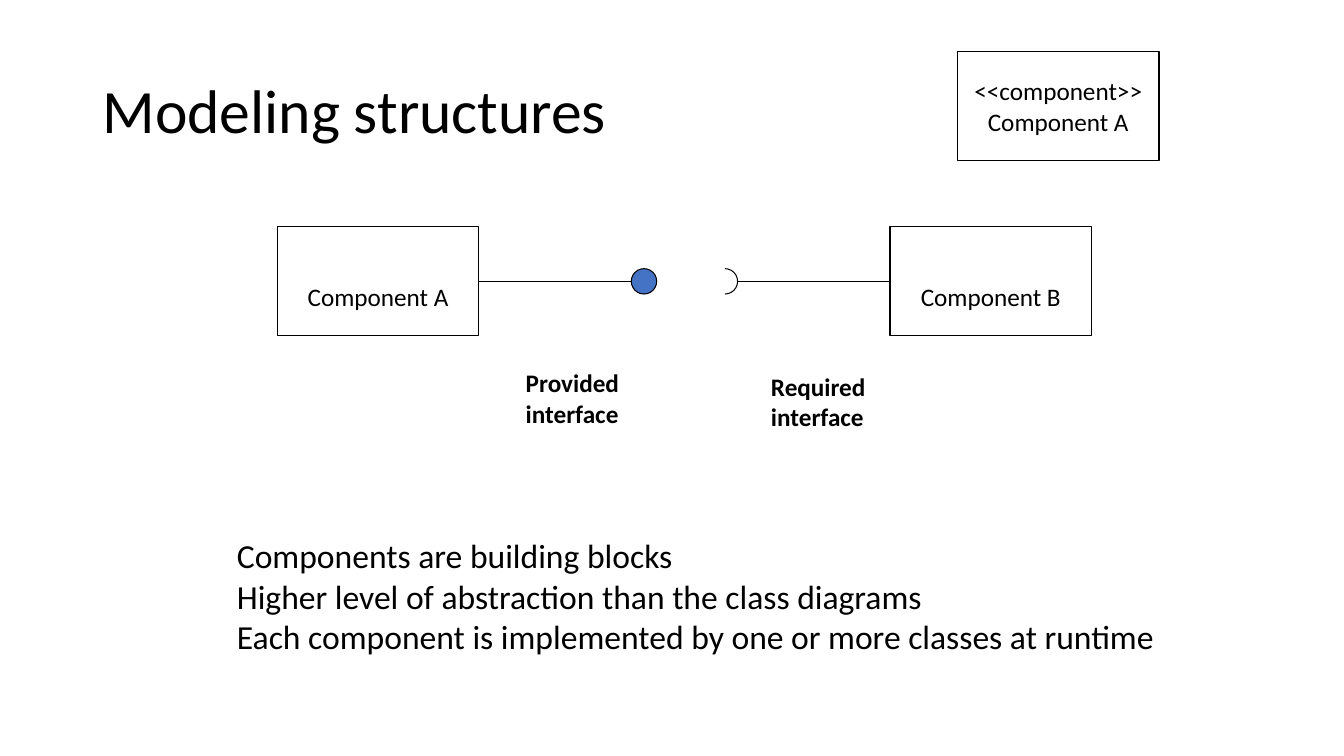
from lxml import etree
from pptx import Presentation
from pptx import util as u
from pptx.dml.color import RGBColor
from pptx.enum import shapes, text
from pptx.oxml.ns import qn

BLACK, WHITE, BLUE = "000000", "FFFFFF", "4472C4"
BOX_WIDTH, BOX_HEIGHT = 5.08, 2.74
LEAD, BALL = 3.84, 0.64
LINE_HEIGHT = 0.76  # one line of 18 pt text


def colour(value):
    return RGBColor.from_string(value)


def write_lines(frame, lines, size, bold=False, **paragraph_format):
    """Put one paragraph per line into a text frame."""
    font_format = {"name": "Calibri", "size": u.Pt(size), "bold": bold}
    for index, line in enumerate(lines):
        paragraph = frame.paragraphs[0] if index == 0 else frame.add_paragraph()
        paragraph.text = line
        for name, value in paragraph_format.items():
            setattr(paragraph, name, value)
        for name, value in font_format.items():
            setattr(paragraph.font, name, value)
        paragraph.font.color.rgb = colour(BLACK)


def add_outlined(slide, kind, left, top, width, height, fill=None):
    """Preset shape with a thin black outline and an optional fill."""
    shape = slide.shapes.add_shape(kind, u.Cm(left), u.Cm(top), u.Cm(width), u.Cm(height))
    shape.shadow.inherit = False
    if fill:
        shape.fill.solid()
        shape.fill.fore_color.rgb = colour(fill)
    else:
        shape.fill.background()
    shape.line.color.rgb = colour(BLACK)
    shape.line.width = u.Pt(0.75)
    return shape


def add_component(slide, left, top, lines, drop=0):
    """Component box; drop lowers the text by reserving room at the top."""
    shape = add_outlined(slide, shapes.MSO_SHAPE.RECTANGLE, left, top, BOX_WIDTH, BOX_HEIGHT, WHITE)
    frame = shape.text_frame
    frame.word_wrap = True
    frame.vertical_anchor = text.MSO_ANCHOR.MIDDLE
    frame.margin_top = u.Cm(0.13 + drop)
    write_lines(frame, lines, 18, alignment=text.PP_ALIGN.CENTER)


def add_lead(slide, start, end, y):
    lead = slide.shapes.add_connector(
        shapes.MSO_CONNECTOR.STRAIGHT, u.Cm(start), u.Cm(y), u.Cm(end), u.Cm(y))
    lead.line.color.rgb = colour(BLACK)
    lead.line.width = u.Pt(0.75)
    etree.SubElement(lead._element.spPr, qn("a:effectLst"))


def add_provider(slide, left, top, name):
    """Component with a ball on its right side."""
    right, middle = left + BOX_WIDTH, top + BOX_HEIGHT / 2
    add_component(slide, left, top, [name], LINE_HEIGHT)
    add_lead(slide, right, right + LEAD, middle)
    add_outlined(slide, shapes.MSO_SHAPE.OVAL, right + LEAD, middle - BALL / 2, BALL, BALL, BLUE)


def add_requirer(slide, left, top, name):
    """Component with a socket on its left side."""
    middle = top + BOX_HEIGHT / 2
    add_component(slide, left, top, [name], LINE_HEIGHT)
    add_lead(slide, left, left - LEAD, middle)
    socket = add_outlined(
        slide, shapes.MSO_SHAPE.ARC, left - LEAD - BALL, middle - BALL / 2, BALL, BALL)
    # Right half of the circle: 270 to 90 degrees, 0.6 units per degree
    socket.adjustments[0] = 270 * 0.6
    socket.adjustments[1] = 90 * 0.6


def add_text(slide, left, top, width, height, lines, size, bold=False):
    box = slide.shapes.add_textbox(u.Cm(left), u.Cm(top), u.Cm(width), u.Cm(height))
    box.text_frame.word_wrap = True
    write_lines(box.text_frame, lines, size, bold)


def add_title(slide, left, top, width, height, line):
    title = slide.shapes.title
    bounds = {"left": left, "top": top, "width": width, "height": height}
    for name, value in bounds.items():
        setattr(title, name, u.Cm(value))
    title.text_frame.auto_size = text.MSO_AUTO_SIZE.NONE
    title.text_frame.vertical_anchor = text.MSO_ANCHOR.MIDDLE
    write_lines(title.text_frame, [line], 44, alignment=text.PP_ALIGN.LEFT, line_spacing=0.9)


def build_structure_slide(presentation):
    slide = presentation.slides.add_slide(presentation.slide_layouts[5])
    # Title and notation example
    add_title(slide, 2.33, 1.01, 29.21, 3.68, "Modeling structures")
    add_component(slide, 24.13, 1.3, ["<<component>>", "Component A"])
    # Components and their interfaces
    add_provider(slide, 6.99, 5.72, "Component A")
    add_requirer(slide, 22.43, 5.72, "Component B")
    add_text(slide, 13, 9.14, 3.05, 1.78, ["Provided", "interface"], 18, bold=True)
    add_text(slide, 19.18, 9.23, 3.05, 1.78, ["Required", "interface"], 18, bold=True)
    # Explanation
    add_text(slide, 5.72, 13.36, 23.85, 3.33, [
        "Components are building blocks",
        "Higher level of abstraction than the class diagrams",
        "Each component is implemented by one or more classes at runtime",
    ], 24)


def main():
    presentation = Presentation()
    presentation.slide_width = u.Cm(33.87)
    presentation.slide_height = u.Cm(19.05)
    build_structure_slide(presentation)
    presentation.save("out.pptx")


if __name__ == "__main__":
    main()
